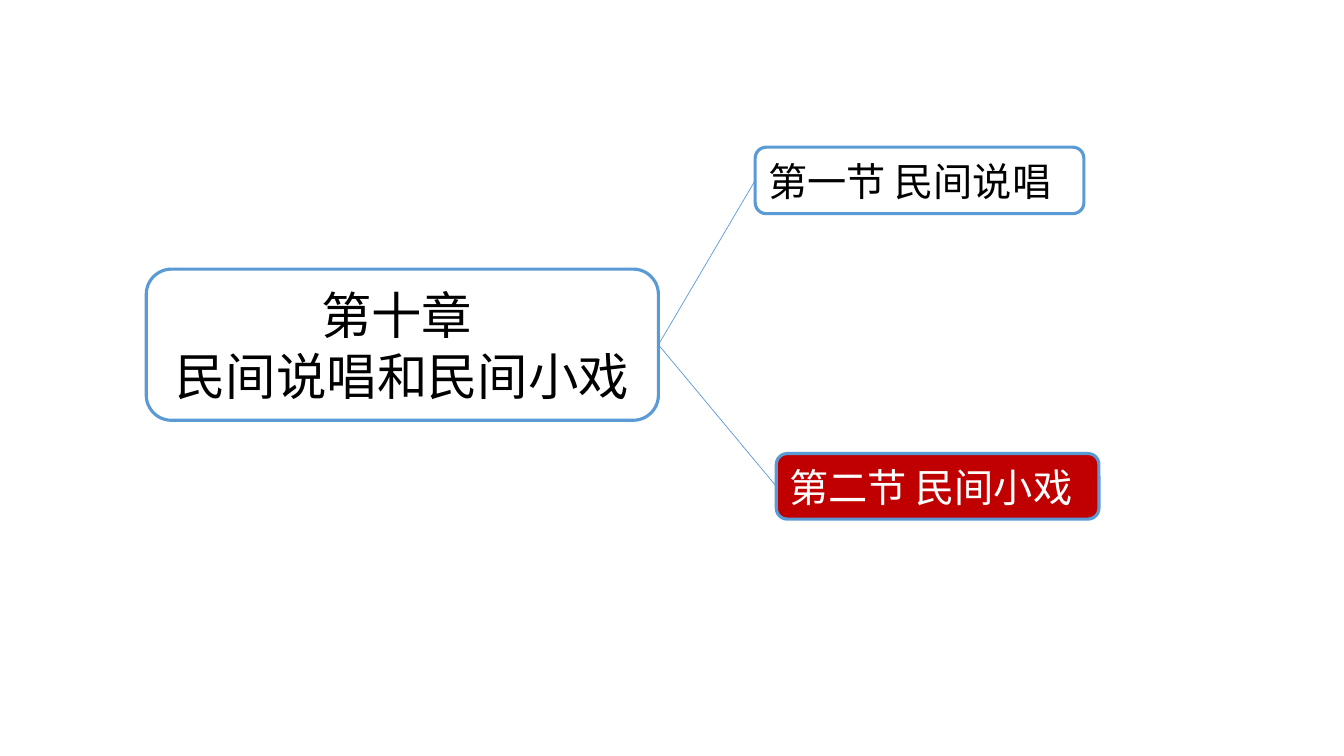
from dataclasses import dataclass
from lxml.etree import SubElement
from pptx import Presentation
from pptx.dml.color import RGBColor
from pptx.enum.shapes import MSO_CONNECTOR, MSO_SHAPE
from pptx.enum.text import MSO_ANCHOR, PP_ALIGN
from pptx.oxml.ns import qn
from pptx.shapes.autoshape import Shape
from pptx.slide import Slide
from pptx.util import Inches, Pt

FONT = "Noto Sans CJK SC"
BLUE = "5B9BD5"
WIDE, HIGH = Inches(13.33), Inches(7.5)
TOP, LEFT, BOTTOM, RIGHT = range(4)


@dataclass(frozen=True)
class Node:
    x: float
    y: float
    w: float
    h: float
    lines: tuple[str, ...]
    size: int = 28
    ink: str = "000000"
    fill: str = ""
    align: PP_ALIGN = PP_ALIGN.LEFT


CHAPTER = Node(10.88, 35.6, 38.11, 20, ("第十章 ", "民间说唱和民间小戏"),
               size=36, align=PP_ALIGN.CENTER)
PARTS = (
    Node(56.19, 19.47, 24.46, 8.8, ("第一节 民间说唱",)),
    Node(57.76, 60, 24.01, 8.67, ("第二节 民间小戏",), ink="FFFFFF", fill="C00000"),
)


def color(code: str) -> RGBColor:
    return RGBColor.from_string(code)


def share(part: float, whole: int) -> int:
    return round(part / 100 * whole)


def write(box: Shape, node: Node) -> None:
    frame = box.text_frame
    frame.word_wrap = True
    frame.vertical_anchor = MSO_ANCHOR.MIDDLE
    for index, line in enumerate(node.lines):
        para = frame.add_paragraph() if index else frame.paragraphs[0]
        para.alignment = node.align
        run = para.add_run()
        run.text = line
        run.font.size = Pt(node.size)
        run.font.color.rgb = color(node.ink)
        run.font.name = FONT
        SubElement(run.font._element, qn("a:ea"), typeface=FONT)


def draw(slide: Slide, node: Node) -> Shape:
    box = slide.shapes.add_shape(
        MSO_SHAPE.ROUNDED_RECTANGLE,
        share(node.x, WIDE), share(node.y, HIGH),
        share(node.w, WIDE), share(node.h, HIGH))
    box.shadow.inherit = False
    if node.fill:
        box.fill.solid()
        box.fill.fore_color.rgb = color(node.fill)
    else:
        box.fill.background()
    box.line.color.rgb = color(BLUE)
    box.line.width = Pt(2.25)
    write(box, node)
    return box


def link(slide: Slide, start: Shape, end: Shape) -> None:
    line = slide.shapes.add_connector(MSO_CONNECTOR.STRAIGHT, 0, 0, 0, 0)
    line.begin_connect(start, RIGHT)
    line.end_connect(end, LEFT)
    line.line.color.rgb = color(BLUE)
    line.line.width = Pt(0.5)
    SubElement(line._element.spPr, qn("a:effectLst"))


def main() -> None:
    deck = Presentation()
    deck.slide_width, deck.slide_height = WIDE, HIGH
    slide = deck.slides.add_slide(deck.slide_layouts[6])
    root = draw(slide, CHAPTER)
    boxes = [draw(slide, part) for part in PARTS]
    for box in boxes:
        link(slide, root, box)
    deck.save("out.pptx")


if __name__ == "__main__":
    main()
